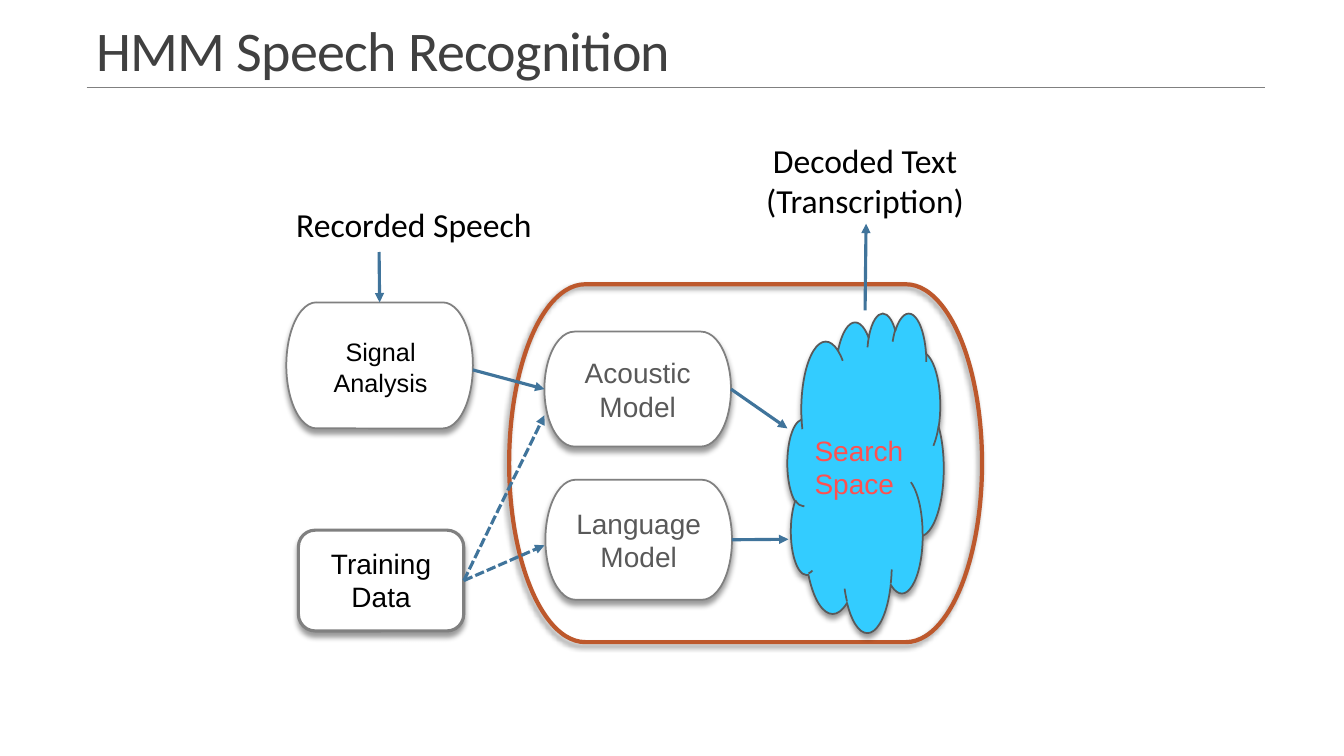
"""Build the HMM speech recognition slide."""
from typing import NamedTuple, Optional, Union

import pptx
import pptx.dml.color
import pptx.enum.dml
import pptx.enum.shapes
import pptx.enum.text
import pptx.oxml
import pptx.oxml.ns
import pptx.shapes.autoshape
import pptx.shapes.connector
import pptx.slide
import pptx.util

Inches = pptx.util.Inches
Pt = pptx.util.Pt
Preset = pptx.enum.shapes.MSO_SHAPE
Align = pptx.enum.text.PP_ALIGN
Anchor = pptx.enum.text.MSO_ANCHOR

COLORS = {
    "title": "404040", "outline": "808080", "text": "000000", "paper": "FFFFFF",
    "model": "595959", "decoder": "BD582C", "arrow": "40749B",
    "cloud": "33CCFF", "search": "FF5050", "shadow": "000000",
}
TOP, LEFT, BOTTOM, RIGHT = range(4)


class Box(NamedTuple):
    left: float
    top: float
    width: float
    height: float


class Node(NamedTuple):
    name: str
    box: Box
    preset: Preset = Preset.FLOWCHART_TERMINATOR
    fill: Optional[str] = "paper"
    outline: str = "outline"
    weight: float = 1.25
    text: str = ""
    shadow_angle: int = 90


class Label(NamedTuple):
    lines: tuple[str, ...]
    box: Box
    size: int
    font: str = "Arial"
    color: str = "text"
    align: Align = Align.CENTER


class Point(NamedTuple):
    x: float
    y: float


class Site(NamedTuple):
    node: str
    side: int


class Arrow(NamedTuple):
    begin: Union[Point, Site]
    end: Union[Point, Site]
    dashed: bool = False


Shapes = dict[str, pptx.shapes.autoshape.Shape]

NODES = (
    Node("signal", Box(2.84, 3, 1.85, 1.25)),
    Node("training", Box(2.96, 5.26, 1.64, 1), Preset.ROUNDED_RECTANGLE, weight=2.25),
    Node("decoder", Box(5.05, 2.82, 4.69, 3.55), fill=None, outline="decoder",
         weight=3, shadow_angle=135),
    Node("acoustic", Box(5.4, 3.29, 1.85, 1.14), text="Acoustic Model"),
    Node("language", Box(5.41, 4.76, 1.85, 1.19), text="Language Model"),
    Node("search", Box(7.81, 3.1, 1.55, 3.17), Preset.CLOUD, "cloud", "model"),
)
ARROWS = (
    Arrow(Point(4.69, 3.67), Site("acoustic", LEFT)),
    Arrow(Site("training", RIGHT), Point(5.4, 4.12), True),
    Arrow(Site("training", RIGHT), Point(5.4, 5.41), True),
    Arrow(Point(3.76, 2.5), Site("signal", TOP)),
    Arrow(Site("acoustic", RIGHT), Point(7.81, 4.25)),
    Arrow(Site("language", RIGHT), Point(7.82, 5.35)),
    Arrow(Point(8.58, 3.08), Point(8.59, 2.22)),
)
LABELS = (
    Label(("Training Data",), Box(2.96, 5.37, 1.64, 0.77), 20),
    Label(("Recorded Speech",), Box(2.84, 1.97, 2.74, 0.5), 24, "Calibri", align=Align.LEFT),
    Label(("Search Space",), Box(7.98, 4.25, 1.12, 0.77), 20, color="search", align=Align.LEFT),
    Label(("Decoded Text", "(Transcription)"), Box(7.21, 1.34, 2.74, 0.91), 24, "Calibri"),
    Label(("Signal Analysis",), Box(3.08, 3.29, 1.39, 0.71), 18),
)
TITLE = Label(("HMM Speech Recognition",), Box(0.86, 0.13, 11.7, 0.74), 40,
              "Calibri", "title", Align.LEFT)


def rgb(name: str) -> pptx.dml.color.RGBColor:
    return pptx.dml.color.RGBColor.from_string(COLORS[name])


def inches(lengths: tuple[float, ...]) -> list[int]:
    return [Inches(length) for length in lengths]


def write(frame: pptx.text.text.TextFrame, lines: tuple[str, ...], size: int,
          font: str, color: str, align: Align) -> None:
    frame.word_wrap = True
    frame.text = "\n".join(lines)
    for paragraph in frame.paragraphs:
        paragraph.alignment = align
        for run in paragraph.runs:
            for attribute, value in {"size": Pt(size), "name": font}.items():
                setattr(run.font, attribute, value)
            run.font.color.rgb = rgb(color)


def cast_shadow(shape: pptx.shapes.autoshape.Shape, angle: int) -> None:
    shape.shadow.inherit = False
    effects = shape._element.spPr.find(pptx.oxml.ns.qn("a:effectLst"))
    effects.append(pptx.oxml.parse_xml(
        f'<a:outerShdw {pptx.oxml.ns.nsdecls("a")} blurRad="{Pt(4)}" dist="{Pt(3)}" '
        f'dir="{angle * 60000}" rotWithShape="0"><a:srgbClr val="{COLORS["shadow"]}">'
        '<a:alpha val="40000"/></a:srgbClr></a:outerShdw>'))


def draw_node(slide: pptx.slide.Slide, node: Node) -> pptx.shapes.autoshape.Shape:
    shape = slide.shapes.add_shape(node.preset, *inches(node.box))
    if node.fill:
        shape.fill.solid()
        shape.fill.fore_color.rgb = rgb(node.fill)
    else:
        shape.fill.background()
    shape.line.color.rgb = rgb(node.outline)
    shape.line.width = Pt(node.weight)
    cast_shadow(shape, node.shadow_angle)
    if node.text:
        shape.text_frame.vertical_anchor = Anchor.MIDDLE
        write(shape.text_frame, (node.text,), 20, "Arial", "model", Align.CENTER)
    return shape


def draw_label(slide: pptx.slide.Slide, label: Label) -> pptx.text.text.TextFrame:
    frame = slide.shapes.add_textbox(*inches(label.box)).text_frame
    write(frame, label.lines, label.size, label.font, label.color, label.align)
    return frame


def draw_line(slide: pptx.slide.Slide, begin: Point, end: Point, color: str,
              weight: float) -> pptx.shapes.connector.Connector:
    line = slide.shapes.add_connector(
        pptx.enum.shapes.MSO_CONNECTOR.STRAIGHT, *inches(begin + end))
    line.line.color.rgb = rgb(color)
    line.line.width = Pt(weight)
    line._element.spPr.append(pptx.oxml.parse_xml(
        f'<a:effectLst {pptx.oxml.ns.nsdecls("a")}/>'))
    return line


def draw_arrow(slide: pptx.slide.Slide, arrow: Arrow, shapes: Shapes) -> None:
    begin, end = (Point(0, 0) if isinstance(tip, Site) else tip
                  for tip in (arrow.begin, arrow.end))
    line = draw_line(slide, begin, end, "arrow", 2.25)
    for tip, connect in ((arrow.begin, line.begin_connect), (arrow.end, line.end_connect)):
        if isinstance(tip, Site):
            connect(shapes[tip.node], tip.side)
    if arrow.dashed:
        line.line.dash_style = pptx.enum.dml.MSO_LINE.SQUARE_DOT
    line.line._get_or_add_ln().append(pptx.oxml.parse_xml(
        f'<a:tailEnd {pptx.oxml.ns.nsdecls("a")} type="triangle"/>'))


def draw_title(slide: pptx.slide.Slide) -> None:
    draw_line(slide, Point(0.86, 0.87), Point(12.55, 0.87), "outline", 0.5)
    frame = draw_label(slide, TITLE)
    frame.vertical_anchor = Anchor.BOTTOM
    heading = frame.paragraphs[0]
    heading.line_spacing = 0.85
    heading.runs[0]._r.get_or_add_rPr().set("spc", "-50")


def main() -> None:
    deck = pptx.Presentation()
    deck.slide_width, deck.slide_height = inches((13.33, 7.5))
    slide = deck.slides.add_slide(deck.slide_layouts[6])
    draw_title(slide)
    shapes = {node.name: draw_node(slide, node) for node in NODES}
    for arrow in ARROWS:
        draw_arrow(slide, arrow, shapes)
    for label in LABELS:
        draw_label(slide, label).auto_size = pptx.enum.text.MSO_AUTO_SIZE.SHAPE_TO_FIT_TEXT
    deck.save("out.pptx")


if __name__ == "__main__":
    main()
